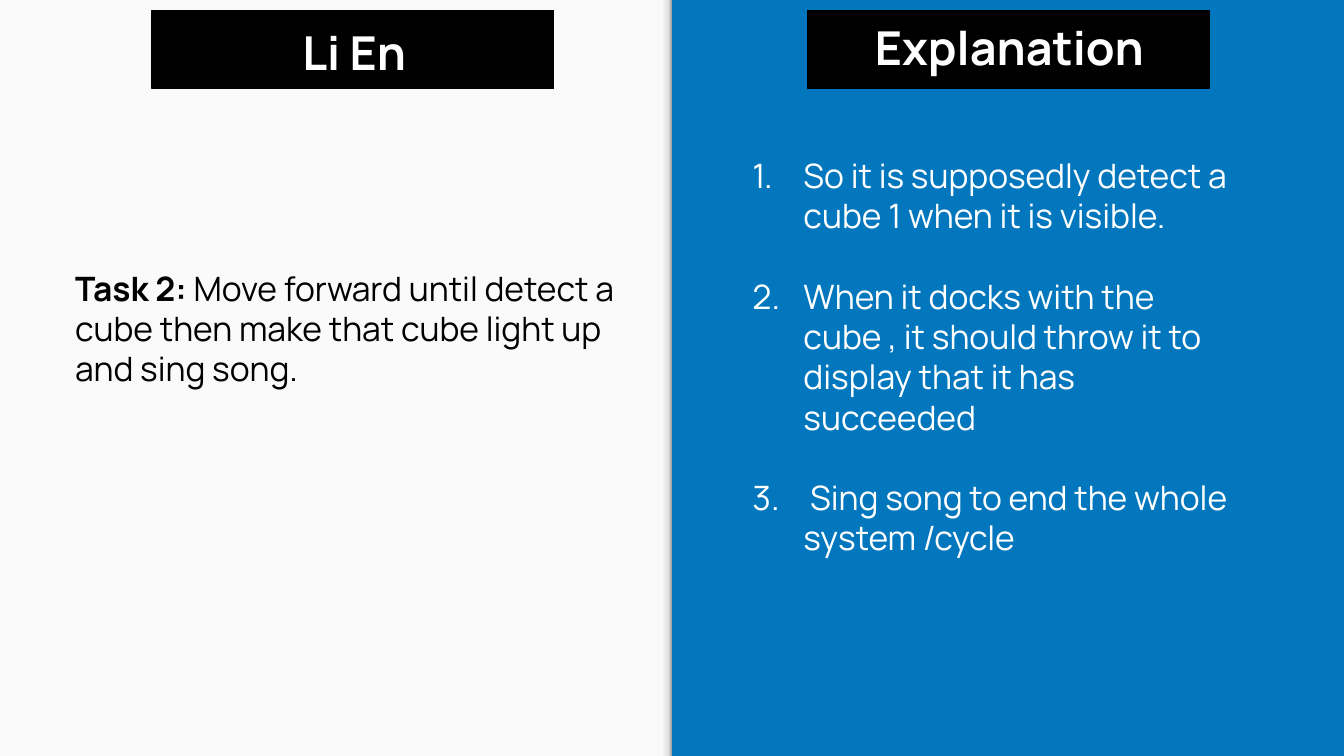
from copy import deepcopy
from lxml import etree
from pptx import Presentation
from pptx import util as u
from pptx.dml.color import RGBColor
from pptx.enum import shapes, text
from pptx.oxml.ns import qn

BLUE = RGBColor(0x02, 0x77, 0xBD)
PALE = RGBColor(0xFA, 0xFA, 0xFA)
BLACK = RGBColor(0, 0, 0)
WHITE = RGBColor(0xFF, 0xFF, 0xFF)
FADE = [(0, "F9F9F9"), (0.36, "F9F9F9"), (0.8, "DEDEDE"), (1, "999999")]

# A 16:9 slide in two halves
deck = Presentation()
W = deck.slide_width = u.Inches(10)
H = deck.slide_height = W * 9 // 16
HALF = W // 2
slide = deck.slides.add_slide(deck.slide_layouts[6])
slide.background.fill.solid()
slide.background.fill.fore_color.rgb = BLUE


def add_rect(x, y, w, h, color):
    rect = slide.shapes.add_shape(shapes.MSO_SHAPE.RECTANGLE, x, y, w, h)
    rect.shadow.inherit = False
    rect.fill.solid()
    rect.fill.fore_color.rgb = color
    rect.line.fill.background()
    return rect


def add_text(x, y, w, h, lines, size, color, bold=False, align=None):
    box = slide.shapes.add_textbox(*[u.Inches(n) for n in (x, y, w, h)])
    frame = box.text_frame
    frame.word_wrap = True
    frame.margin_left = frame.margin_right = u.Inches(0.1)
    frame.margin_top = frame.margin_bottom = u.Inches(0.1)
    frame.text = "\n".join(lines)
    for para in frame.paragraphs:
        para.alignment = align
        for run in para.runs:
            run.font.name = "Manrope"
            run.font.size = u.Pt(size)
            run.font.bold = bold
            run.font.color.rgb = color
    return frame


# Pale left half
add_rect(0, 0, HALF, H, PALE)

# Soft shade along the divide: a flat strip turned upright
thick = u.Inches(0.12)
shade = add_rect(HALF - thick // 2 - H // 2, (H - thick) // 2, H, thick, PALE)
shade.rotation = 90
shade.fill.gradient()
shade.fill.gradient_angle = 90
stops = shade._element.spPr.find(".//" + qn("a:gsLst"))
for _ in FADE[2:]:
    stops.append(deepcopy(stops[0]))
for stop, (pos, tone) in zip(shade.fill.gradient_stops, FADE):
    stop.position = pos
    stop.color.rgb = RGBColor.from_string(tone)

# Black title bars
for left in (1.13, 6.01):
    bar = add_rect(u.Inches(left), u.Inches(0.08), u.Inches(2.99), u.Inches(0.58), BLACK)
    bar.line.color.rgb = BLACK
    bar.line.width = u.Pt(0.75)

# Titles
MID = text.PP_ALIGN.CENTER
add_text(1.57, 0.08, 2.13, 0.79, ["Li En"], 25, WHITE, True, MID)
add_text(5, 0.04, 5.02, 0.49, ["Explanation"], 25, WHITE, True, MID)

# Task with a bold label
task = add_text(0.46, 1.89, 4.35, 0.79, ["Task 2:"], 18, BLACK, True).paragraphs[0]
rest = task.add_run()
rest.text = " Move forward until detect a cube then make that cube light up and sing song."
rest.font.name = "Manrope"
rest.font.size = u.Pt(18)
rest.font.bold = False
rest.font.color.rgb = BLACK

# Numbered steps, one line apart
steps = add_text(5.38, 1.05, 4.01, 3.47, [
    "So it is supposedly detect a cube 1 when it is visible.",
    "When it docks with the cube , it should throw it to display that it has succeeded",
    " Sing song to end the whole system /cycle",
], 18, WHITE)
for i, step in enumerate(steps.paragraphs):
    if i:
        step.space_before = u.Pt(21.6)
    props = step._p.get_or_add_pPr()
    props.set("marL", str(u.Inches(0.5)))
    props.set("indent", str(u.Inches(-0.38)))
    tint = etree.SubElement(props, qn("a:buClr"))
    etree.SubElement(tint, qn("a:srgbClr"), val=str(WHITE))
    etree.SubElement(props, qn("a:buFont"), typeface="Manrope")
    etree.SubElement(props, qn("a:buAutoNum"), type="arabicPeriod")

deck.save("out.pptx")
